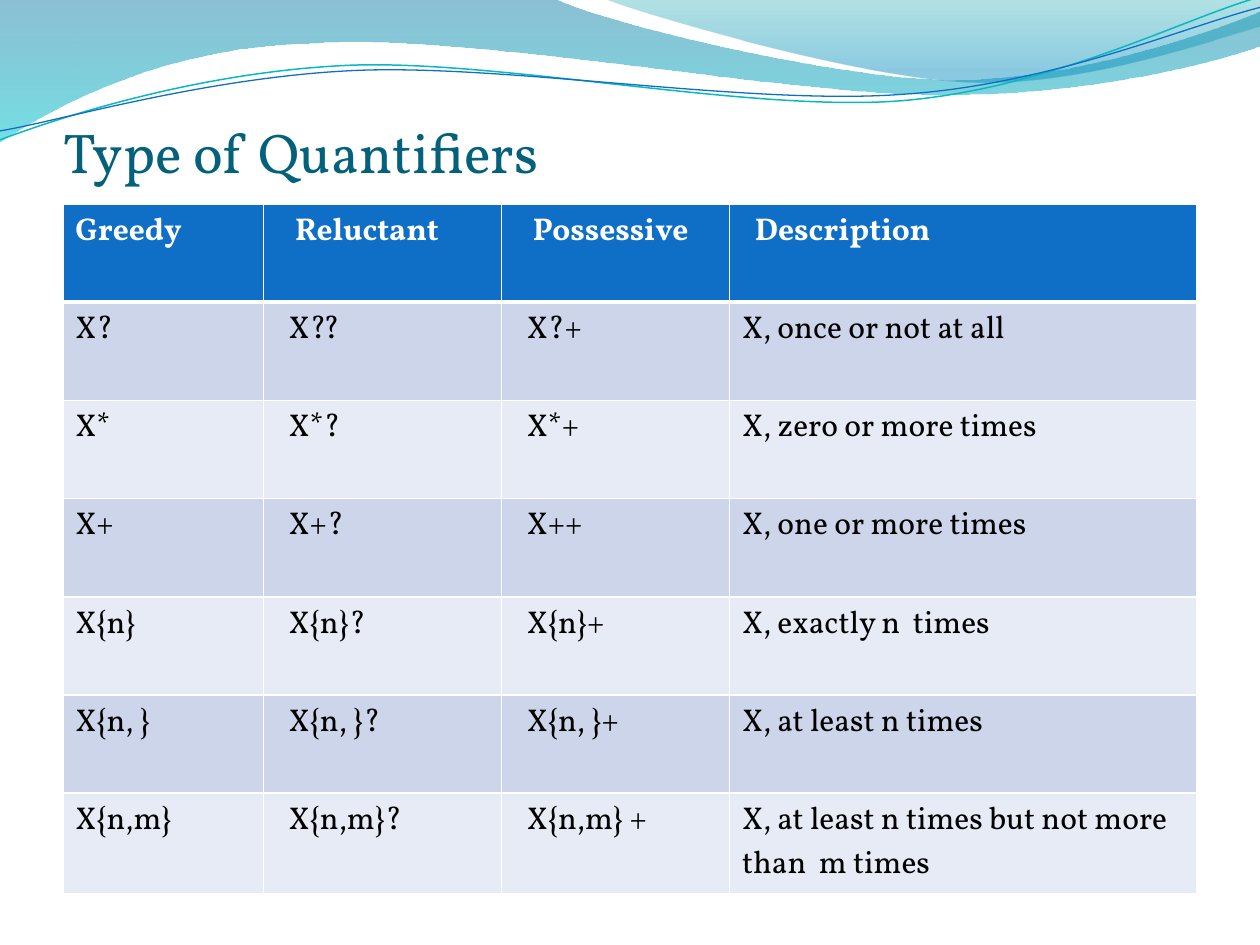
"""Builds a slide that lists the types of regular expression quantifiers."""
from dataclasses import dataclass

from lxml import etree
from pptx import Presentation
from pptx.dml.color import RGBColor
from pptx.enum.text import MSO_ANCHOR, MSO_AUTO_SIZE, PP_ALIGN
from pptx.oxml.ns import qn
from pptx.util import Cm, Pt

BOTTOM, NO_FIT, LEFT = MSO_ANCHOR.BOTTOM, MSO_AUTO_SIZE.NONE, PP_ALIGN.LEFT
TITLE_ONLY = 5


@dataclass(frozen=True)
class Theme:
    """Holds the font, colours and type sizes."""
    font: str = "Vollkorn"
    title: str = "04617B"
    header: str = "0F6FC6"
    bands: tuple = ("CCD5EA", "E7EBF5")
    white: str = "FFFFFF"
    black: str = "000000"
    title_size: float = 32
    table_size: float = 18


@dataclass(frozen=True)
class Stop:
    """Describes one gradient stop, with shares from 0 to 1."""
    position: float
    color: str
    opacity: float


@dataclass(frozen=True)
class Wave:
    """Describes an outline in centimetres; a step of three points is a curve."""
    start: tuple
    steps: tuple
    stops: tuple = ()
    line: str = ""
    width: float = 0
    rotation: float = 0


@dataclass(frozen=True)
class Column:
    """Describes a table column and its left text margins in centimetres."""
    width: float
    header_margin: float = 0.25
    body_margin: float = 0.25


THEME = Theme()
WAVES = (
    Wave((0, 0), (
        ((11.18, -0.03),),
        ((12.09, 0.43), (16.87, 1.6), (19.25, 1.6)),
        ((21.67, 1.6), (24.33, 0.66), (25.4, 0.23)),
        ((25.43, 0.91),),
        ((24.97, 1.12), (22.1, 1.93), (18.95, 1.91)),
        ((15.8, 1.91), (9.7, 0.71), (6.53, 0.86)),
        ((3.28, 0.91), (1.17, 2.11), (-0.03, 2.87)),
        ((0, 0),),
    ), stops=(Stop(0, "0074A1", 0.45), Stop(1, "00C6CF", 0.55))),
    Wave((12.17, -0.03), (
        ((12.93, 0.28), (17.32, 1.57), (19.53, 1.65)),
        ((21.74, 1.75), (24.41, 0.81), (25.4, 0.53)),
        ((25.4, 0),),
        ((12.17, -0.03),),
    ), stops=(Stop(0, "00A1A9", 0.3), Stop(0.8, "008BBF", 0.45))),
    Wave((-0.05, 2.22), (
        ((1.19, 1.82), (4.02, 1.04), (7.05, 1.05)),
        ((10.05, 1.07), (15.02, 2.37), (18.08, 2.29)),
        ((21.13, 2.2), (23.87, 0.91), (25.41, 0.55)),
    ), line="0AB8BF", width=0.85, rotation=357.3),
    Wave((-0.04, 2.04), (
        ((1.16, 1.9), (4.18, 1.15), (7.2, 1.16)),
        ((10.25, 1.18), (15.13, 2.25), (18.18, 2.16)),
        ((21.21, 2.1), (23.93, 1.06), (25.45, 0.75)),
    ), line="0F6FC6", width=0.75, rotation=357.3),
)
COLUMNS = (Column(4.04), Column(4.8, 0.64, 0.51), Column(4.6, 0.63, 0.51), Column(9.42, 0.51))
ROW_HEIGHT = 1.98
ROWS = (
    ("Greedy", "Reluctant", "Possessive", "Description"),
    ("X?", "X??", "X?+", "X, once or not at all"),
    ("X*", "X*?", "X*+", "X, zero or more times"),
    ("X+", "X+?", "X++", "X, one or more times"),
    ("X{n}", "X{n}?", "X{n}+", "X, exactly n  times"),
    ("X{n, }", "X{n, }?", "X{n, }+", "X, at least n times"),
    ("X{n,m}", "X{n,m}?", "X{n,m} +", "X, at least n times but not more\nthan  m times"),
)


def format_text(frame, *, size: float, color: str, bold: bool = False) -> None:
    """Formats every paragraph of a text frame."""
    for para in frame.paragraphs:
        para.alignment = LEFT
        for span in para.runs:
            span.font.name = THEME.font
            span.font.size = Pt(size)
            span.font.bold = bold
            span.font.color.rgb = RGBColor.from_string(color)


def bend(shape, wave: Wave) -> None:
    """Joins the three points of each curved step into one Bezier segment."""
    segments = iter(list(shape.element.spPr.iter(qn("a:lnTo"))))
    for step in wave.steps:
        group = [next(segments) for _ in step]
        if len(group) == 3:
            curve = etree.Element(qn("a:cubicBezTo"))
            group[0].addprevious(curve)
            for segment in group:
                curve.append(segment[0])
                segment.getparent().remove(segment)


def draw_wave(page, wave: Wave):
    """Draws a gradient band or a thin line and returns it."""
    builder = page.shapes.build_freeform(*map(Cm, wave.start))
    points = [(Cm(x), Cm(y)) for step in wave.steps for x, y in step]
    builder.add_line_segments(points, close=bool(wave.stops))
    shape = builder.convert_to_shape()
    bend(shape, wave)
    shape.rotation = wave.rotation
    shape.shadow.inherit = False
    if not wave.stops:
        shape.fill.background()
        shape.line.color.rgb = RGBColor.from_string(wave.line)
        shape.line.width = Pt(wave.width)
        return shape
    shape.line.fill.background()
    shape.fill.gradient()
    shape.fill.gradient_angle = 270
    for target, stop in zip(shape.fill.gradient_stops, wave.stops):
        target.position = stop.position
        target.color.rgb = RGBColor.from_string(stop.color)
    for color, stop in zip(shape.element.spPr.iter(qn("a:srgbClr")), wave.stops):
        etree.SubElement(color, qn("a:alpha"), val=str(round(stop.opacity * 100000)))
    return shape


def set_borders(cell, *, top: float, bottom: float) -> None:
    """Gives a cell white borders with widths in points."""
    properties = cell._tc.get_or_add_tcPr()
    for side, width in (("L", 1), ("R", 1), ("T", top), ("B", bottom)):
        line = etree.SubElement(properties, qn(f"a:ln{side}"), w=str(Pt(width)))
        fill = etree.SubElement(line, qn("a:solidFill"))
        etree.SubElement(fill, qn("a:srgbClr"), val=THEME.white)


def draw_title(page, text: str) -> None:
    """Places and formats the title placeholder."""
    title = page.shapes.title
    title.left, title.top, title.width, title.height = Cm(1.27), Cm(1.95), Cm(22.86), Cm(1.78)
    frame = title.text_frame
    frame.text = text
    frame.auto_size = NO_FIT
    frame.vertical_anchor = BOTTOM
    frame.margin_left = frame.margin_right = frame.margin_bottom = 0
    format_text(frame, size=THEME.title_size, color=THEME.title)


def draw_table(page) -> None:
    """Draws the table with a header row and banded body rows."""
    width = sum(column.width for column in COLUMNS)
    table = page.shapes.add_table(len(ROWS), len(COLUMNS), Cm(1.27), Cm(4.11),
                                  Cm(width), Cm(ROW_HEIGHT * len(ROWS))).table
    for target, column in zip(table.columns, COLUMNS):
        target.width = Cm(column.width)
    for row, texts in enumerate(ROWS):
        header = row == 0
        table.rows[row].height = Cm(ROW_HEIGHT)
        for index, (text, column) in enumerate(zip(texts, COLUMNS)):
            cell = table.cell(row, index)
            cell.text = text
            cell.margin_left = Cm(column.header_margin if header else column.body_margin)
            set_borders(cell, top=3 if row == 1 else 1, bottom=3 if header else 1)
            cell.fill.solid()
            cell.fill.fore_color.rgb = RGBColor.from_string(
                THEME.header if header else THEME.bands[(row - 1) % 2])
            format_text(cell.text_frame, size=THEME.table_size, bold=header,
                        color=THEME.white if header else THEME.black)


def main() -> None:
    """Builds and saves the deck, with the waves on its master."""
    deck = Presentation()
    deck.slide_width, deck.slide_height = Cm(25.4), Cm(19.05)
    page = deck.slides.add_slide(deck.slide_layouts[TITLE_ONLY])
    for wave in WAVES:
        deck.slide_master.shapes.element.append(draw_wave(page, wave).element)
    draw_title(page, "Type of Quantifiers")
    draw_table(page)
    deck.save("out.pptx")


main()
